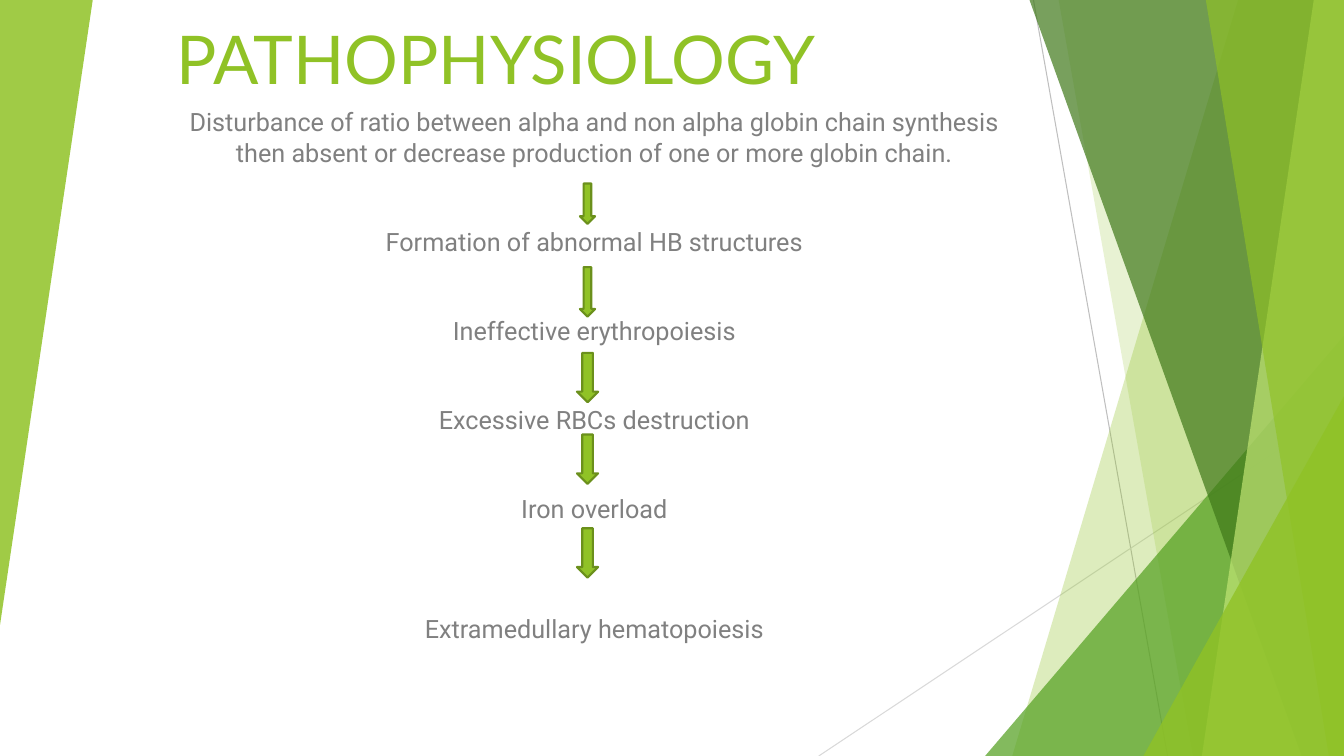
from dataclasses import dataclass

from lxml.etree import SubElement
from pptx import Presentation
from pptx.dml.color import RGBColor
from pptx.enum.shapes import MSO_CONNECTOR, MSO_SHAPE
from pptx.enum.text import MSO_ANCHOR, PP_ALIGN
from pptx.oxml.ns import qn
from pptx.util import Inches, Pt


@dataclass(frozen=True)
class Theme:
    """Colours, fonts and type sizes of the slide."""
    lime: str = "90C226"
    pale_lime: str = "C0E474"
    green: str = "54A021"
    forest: str = "3F7819"
    arrow_edge: str = "6B901C"
    body_text: str = "808080"
    steep_line: str = "BFBFBF"
    flat_line: str = "D9D9D9"
    title_font: str = "Lato"
    body_font: str = "Roboto"
    title_size: int = 48
    body_size: int = 18


@dataclass(frozen=True)
class Box:
    """A rectangle whose regions are given as percentages of its size."""
    left: int
    top: int
    width: int
    height: int

    def point(self, x, y):
        """Return the position at x and y percent of the box."""
        return (round(self.left + self.width * x / 100),
                round(self.top + self.height * y / 100))

    def region(self, x, y, width, height):
        """Return a smaller box inside this one."""
        return Box(*self.point(x, y), round(self.width * width / 100),
                   round(self.height * height / 100))

    @property
    def bounds(self):
        """Return left, top, width and height."""
        return self.left, self.top, self.width, self.height


THEME = Theme()
STEPS = [
    ("Disturbance of ratio between alpha and non alpha globin chain synthesis "
     "then absent or decrease production of one or more globin chain.", 0),
    ("Formation of abnormal HB structures", 42),
    ("Ineffective erythropoiesis", 42),
    ("Excessive RBCs destruction", 42),
    ("Iron overload", 42),
    ("Extramedullary hematopoiesis", 64),
]
ARROW_CENTRE = 49.2
ARROWS = [(13.87, 1.77, 6.85), (28.08, 1.77, 8.39), (42.64, 2.47, 8.39),
          (56.51, 2.47, 8.39), (72.43, 2.47, 8.39)]


def paint(shape, color, opacity=100):
    """Fill a shape without outline or shadow."""
    shape.shadow.inherit = False
    shape.fill.solid()
    shape.fill.fore_color.rgb = RGBColor.from_string(color)
    if opacity < 100:
        color_node = shape._element.spPr.find(".//" + qn("a:srgbClr"))
        SubElement(color_node, qn("a:alpha"), val=str(opacity * 1000))
    shape.line.fill.background()


def add_thin_line(slide, start, end, color):
    """Draw a hairline between two points."""
    connector = slide.shapes.add_connector(MSO_CONNECTOR.STRAIGHT, *start, *end)
    connector.line.color.rgb = RGBColor.from_string(color)
    connector.line.width = Pt(0.75)
    SubElement(connector._element.spPr, qn("a:effectLst"))


def add_corner(slide, box, color, opacity, rotation=0):
    """Draw a right-angled triangle that fills the box."""
    triangle = slide.shapes.add_shape(MSO_SHAPE.ISOSCELES_TRIANGLE, *box.bounds)
    triangle.adjustments[0] = 1
    triangle.rotation = rotation
    paint(triangle, color, opacity)


def add_shard(slide, box, top_x, bottom_x, color, opacity):
    """Draw a panel from a slanted left edge to the right edge of the box."""
    builder = slide.shapes.build_freeform(*box.point(top_x, 0))
    builder.add_line_segments([box.point(100, 0), box.point(100, 100),
                               box.point(bottom_x, 100)], close=True)
    paint(builder.convert_to_shape(), color, opacity)


def add_facets(slide, box):
    """Layer the translucent facets on the right side."""
    add_thin_line(slide, box.point(40.88, 0), box.point(66.41, 100), THEME.steep_line)
    add_thin_line(slide, box.point(100, 53.73), box.point(0, 100), THEME.flat_line)
    add_shard(slide, box, 79.85, 36.85, THEME.lime, 30)
    add_shard(slide, box, 45.68, 71.21, THEME.lime, 20)
    add_corner(slide, box.region(31.67, 44.4, 68.33, 55.6), THEME.green, 72)
    add_shard(slide, box, 40.12, 91.94, THEME.forest, 70)
    add_shard(slide, box, 94.24, 72.94, THEME.pale_lime, 70)
    add_shard(slide, box, 73.7, 97.12, THEME.lime, 65)
    add_corner(slide, box.region(61.8, 52.4, 38.2, 47.6), THEME.lime, 80)


def add_text(slide, box, lines, font, size, color, alignment, anchor):
    """Write paragraphs, each with its space before, into the box."""
    text_frame = slide.shapes.add_textbox(*box.bounds).text_frame
    text_frame.word_wrap = True
    text_frame.vertical_anchor = anchor
    text_frame.text = "\n".join(text for text, space in lines)
    for paragraph, (text, space) in zip(text_frame.paragraphs, lines):
        paragraph.alignment = alignment
        paragraph.space_before = Pt(space)
        for run in paragraph.runs:
            run.font.name = font
            run.font.size = Pt(size)
            run.font.color.rgb = RGBColor.from_string(color)


def add_title(slide, box):
    """Write the slide title."""
    add_text(slide, box, [("PATHOPHYSIOLOGY", 0)], THEME.title_font,
             THEME.title_size, THEME.lime, PP_ALIGN.LEFT, MSO_ANCHOR.BOTTOM)


def add_flow(slide, box):
    """Write the chain of steps and the arrows between them."""
    add_text(slide, box, STEPS, THEME.body_font, THEME.body_size,
             THEME.body_text, PP_ALIGN.CENTER, MSO_ANCHOR.TOP)
    for top, width, height in ARROWS:
        area = box.region(ARROW_CENTRE - width / 2, top, width, height)
        arrow = slide.shapes.add_shape(MSO_SHAPE.DOWN_ARROW, *area.bounds)
        paint(arrow, THEME.lime)
        arrow.line.color.rgb = RGBColor.from_string(THEME.arrow_edge)
        arrow.line.width = Pt(1.5)


def main():
    """Build and save the presentation."""
    presentation = Presentation()
    presentation.slide_width = Inches(13.33)
    presentation.slide_height = Inches(7.5)
    slide = presentation.slides.add_slide(presentation.slide_layouts[6])
    page = Box(0, 0, presentation.slide_width, presentation.slide_height)
    add_facets(slide, page.region(60.92, 0, 39.08, 100))
    add_corner(slide, page.region(0, 0, 6.9, 82.67), THEME.lime, 85, rotation=180)
    add_title(slide, page.region(12.38, 2.8, 63.69, 10.8))
    add_flow(slide, page.region(12.38, 13.47, 63.69, 77.87))
    presentation.save("out.pptx")


if __name__ == "__main__":
    main()
